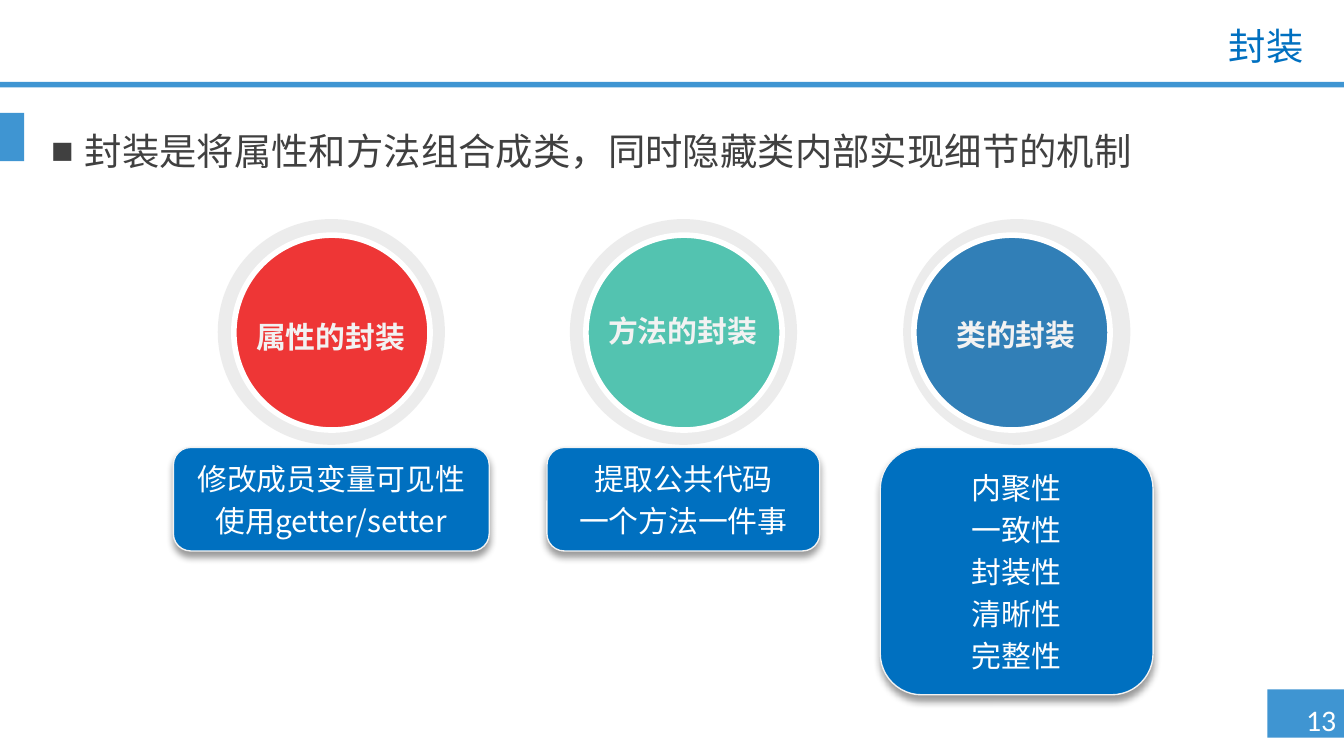
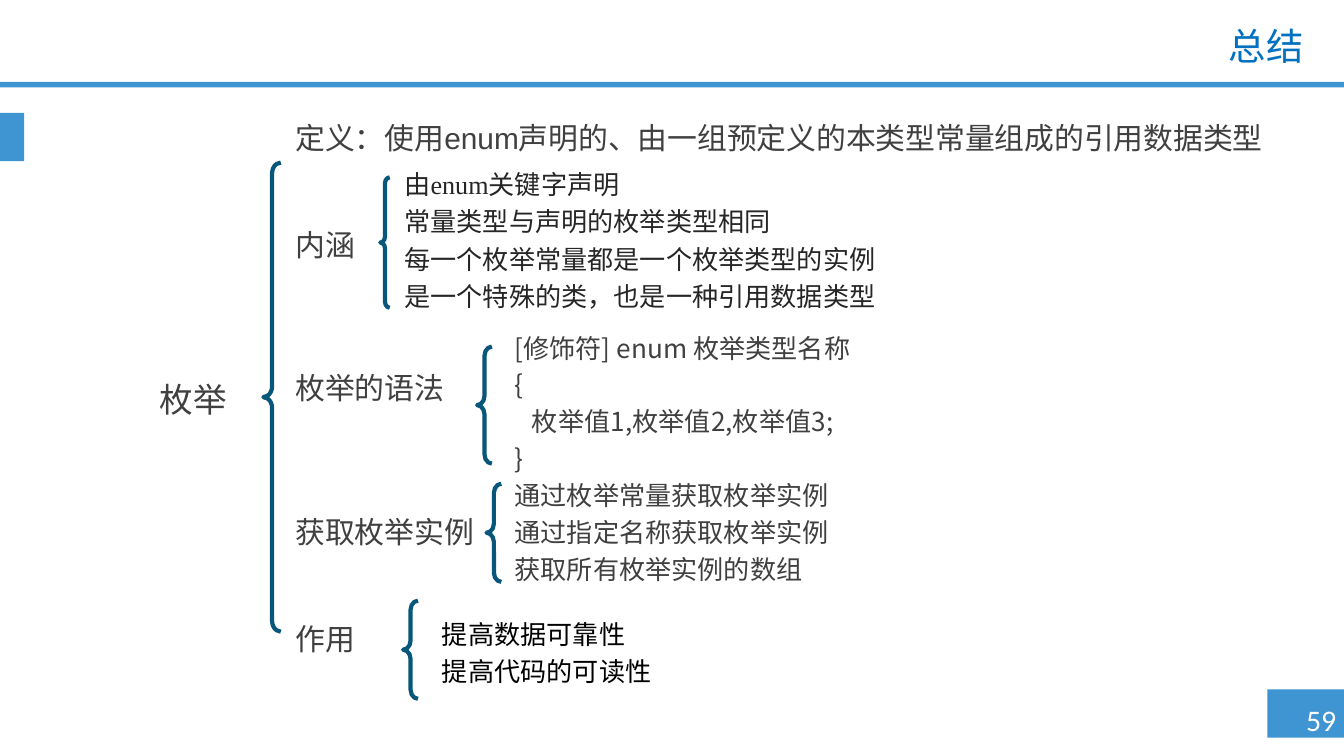
from lxml import etree
from pptx import Presentation
from pptx.dml.color import RGBColor
from pptx.enum.shapes import MSO_SHAPE
from pptx.enum.text import MSO_ANCHOR, MSO_AUTO_SIZE, PP_ALIGN
from pptx.oxml.ns import qn
from pptx.util import Inches, Pt

LEFT, CENTER, RIGHT = PP_ALIGN.LEFT, PP_ALIGN.CENTER, PP_ALIGN.RIGHT
TOP, MIDDLE = MSO_ANCHOR.TOP, MSO_ANCHOR.MIDDLE
RECTANGLE, OVAL = MSO_SHAPE.RECTANGLE, MSO_SHAPE.OVAL
ROUNDED, BRACE = MSO_SHAPE.ROUNDED_RECTANGLE, MSO_SHAPE.LEFT_BRACE

WIDTH = 10
HEIGHT = WIDTH * 9 / 16
TITLE_LAYOUT, BODY_LAYOUT = 5, 1
SANS, ARIAL, SERIF, NUMBER_FONT = "Noto Sans CJK SC", "Arial", "Times New Roman", "Calibri"
COLORS = {
    "band": "3F95D2", "title": "0070C0", "text": "404040", "dark": "262626",
    "black": "000000", "white": "FFFFFF", "pale": "F2F2F2", "ring": "D8D8D8",
    "red": "EE3636", "green": "53C3B0", "blue": "317FB7", "brace": "08577A",
}
BANDS = [(9.43, 5.13, 0.57, 0.36), (0, 0.61, WIDTH, 0.04), (0, 0.84, 0.18, 0.36)]

# Slide 13: definition and three kinds of encapsulation
DEFINITION = "封装是将属性和方法组合成类，同时隐藏类内部实现细节的机制"
KINDS = [
    {"name": "属性的封装", "color": "red", "left": 1.62, "disc_shift": 0.12,
     "name_top": 2.32, "card": (2.35, 0.77),
     "points": ["修改成员变量可见性", "使用getter/setter"]},
    {"name": "方法的封装", "color": "green", "left": 4.24, "disc_shift": 0.12,
     "name_top": 2.28, "card": (2.03, 0.77),
     "points": ["提取公共代码", "一个方法一件事"]},
    {"name": "类的封装", "color": "blue", "left": 6.72, "disc_shift": 0.08,
     "name_top": 2.31, "card": (2.03, 1.84),
     "points": ["内聚性", "一致性", "封装性", "清晰性", "完整性"]},
]
RING_TOP, RING_WIDTH, RING_HEIGHT = 1.63, 1.69, 1.68
DISC_TOP, DISC_WIDTH, DISC_HEIGHT = 1.75, 1.46, 1.45
CARD_TOP = 3.33

# Slide 59: tree of topics; each topic sits on a row of one column
TOPIC_LEFT, TOPIC_TOP, TOPIC_WIDTH = 2.1, 0.84, 7.66
TOPIC_PITCH = 3.73 / 14
TOPICS = [
    (0, "定义：使用enum声明的、由一组预定义的本类型常量组成的引用数据类型"),
    (3, "内涵"), (7, "枚举的语法"), (11, "获取枚举实例"), (14, "作用"),
]
BRACES = [
    (1.96, 1.21, 0.13, 3.49), (2.83, 1.32, 0.07, 0.97), (3.55, 2.58, 0.11, 0.87),
    (3.62, 3.6, 0.11, 0.73), (3, 4.47, 0.11, 0.73),
]
LIST_STYLE = {"size": 14, "spacing": 1.41, "inset": 0.01}
DETAILS = [
    ((2.91, 1.16, 4.18, 1.21),
     ["由enum关键字声明", "常量类型与声明的枚举类型相同",
      "每一个枚举常量都是一个枚举类型的实例", "是一个特殊的类，也是一种引用数据类型"],
     {"size": 14, "spacing": 1.43, "font": SERIF, "color": "dark", "inset": 0.05}),
    ((3.73, 2.42, 2.92, 1.18),
     ["[修饰符] enum 枚举类型名称", "{", "枚举值1,枚举值2,枚举值3;", "}"],
     {**LIST_STYLE, "indents": {2: 0.13}}),
    ((3.73, 3.52, 2.92, 0.9),
     ["通过枚举常量获取枚举实例", "通过指定名称获取枚举实例", "获取所有枚举实例的数组"],
     LIST_STYLE),
    ((3.19, 4.54, 2.92, 0.62), ["提高数据可靠性", "提高代码的可读性"],
     {**LIST_STYLE, "color": "black", "inset": 0.02}),
]


def rgb(name):
    return RGBColor.from_string(COLORS[name])


def place(shape, box):
    for side, value in zip(("left", "top", "width", "height"), box):
        setattr(shape, side, Inches(value))


def write(shape, lines, size=16, font=SANS, color="text", align=LEFT, bold=False,
          spacing=1.28, anchor=TOP, inset=0.03, wrap=True, indents=None):
    """Fill a text frame; spacing is the line pitch as a multiple of the text size."""
    frame = shape.text_frame
    frame.text = "\n".join(lines)
    frame_format = {"word_wrap": wrap, "vertical_anchor": anchor,
                    "auto_size": MSO_AUTO_SIZE.NONE, "margin_top": Inches(inset),
                    "margin_bottom": Inches(0.05), "margin_left": Inches(0.1),
                    "margin_right": Inches(0.1)}
    for name, value in frame_format.items():
        setattr(frame, name, value)
    for index, paragraph in enumerate(frame.paragraphs):
        paragraph.alignment = align
        paragraph.line_spacing = Pt(round(size * spacing, 1))
        paragraph.space_before = Pt(0)
        if indents and index in indents:
            paragraph._p.get_or_add_pPr().set("marL", str(Inches(indents[index])))
        for run in paragraph.runs:
            for name, value in {"size": Pt(size), "name": font, "bold": bold}.items():
                setattr(run.font, name, value)
            run.font.color.rgb = rgb(color)
            east_asian = etree.SubElement(run.font._element, qn("a:ea"))
            east_asian.set("typeface", SANS)


def add_text(shapes, box, lines, **style):
    write(shapes.add_textbox(*map(Inches, box)), lines, **style)


def add_figure(shapes, kind, box, fill=None, line=None, line_width=1):
    shape = shapes.add_shape(kind, *map(Inches, box))
    shape.shadow.inherit = False
    if fill:
        shape.fill.solid()
        shape.fill.fore_color.rgb = rgb(fill)
    else:
        shape.fill.background()
    if line:
        shape.line.color.rgb = rgb(line)
        shape.line.width = Pt(line_width)
    else:
        shape.line.fill.background()
    return shape


def add_alpha(color_element, percent):
    etree.SubElement(color_element, qn("a:alpha")).set("val", str(percent * 1000))


def add_card_shadow(shape):
    effects = shape._element.spPr.find(qn("a:effectLst"))
    shadow = etree.SubElement(effects, qn("a:outerShdw"), blurRad=str(Pt(4)),
                              dist=str(Pt(3)), dir="5400000", rotWithShape="0")
    color = etree.SubElement(shadow, qn("a:srgbClr"), val=COLORS["black"])
    add_alpha(color, 40)


def set_bullet(paragraph, character, indent):
    properties = paragraph._p.get_or_add_pPr()
    properties.set("marL", str(Inches(indent)))
    properties.set("indent", str(-Inches(indent)))
    etree.SubElement(properties, qn("a:buFont"), typeface=ARIAL)
    etree.SubElement(properties, qn("a:buChar"), char=character)


def add_base_slide(presentation, layout, title, number):
    """Add a slide with the shared bands, page number and title."""
    slide = presentation.slides.add_slide(presentation.slide_layouts[layout])
    for box in BANDS:
        add_figure(slide.shapes, RECTANGLE, box, "band")
    add_text(slide.shapes, (9.57, 5.17, 0.52, 0.37), [number], font=NUMBER_FONT,
             color="white", align=CENTER, wrap=False)
    place(slide.shapes.title, (2.4, 0.15, 7.4, 0.41))
    write(slide.shapes.title, [title], size=20, font=ARIAL, color="title",
          align=RIGHT, spacing=1.17)
    return slide


def add_kind(slide, kind):
    """Add a ringed disc with its name, and the card of points below it."""
    left = kind["left"]
    shapes = slide.shapes.add_group_shape().shapes
    ring = add_figure(shapes, OVAL, (left, RING_TOP, RING_WIDTH, RING_HEIGHT), "ring")
    add_alpha(ring._element.spPr.find(qn("a:solidFill"))[0], 47)
    disc_box = (left + kind["disc_shift"], DISC_TOP, DISC_WIDTH, DISC_HEIGHT)
    add_figure(shapes, OVAL, disc_box, kind["color"], "white", 3)
    add_text(shapes, (left - 0.09, kind["name_top"], 1.86, 0.36), [kind["name"]],
             color="pale", align=CENTER, bold=True)

    width, height = kind["card"]
    card_left = left + (RING_WIDTH - width) / 2
    card = add_figure(slide.shapes, ROUNDED, (card_left, CARD_TOP, width, height),
                      "title", "pale", 0.75)
    card.adjustments[0] = 0.167
    add_card_shadow(card)
    write(card, kind["points"], color="white", align=CENTER, spacing=1.4,
          anchor=MIDDLE, inset=0.01)


def build_encapsulation(presentation):
    slide = add_base_slide(presentation, BODY_LAYOUT, "封装", "13")
    body = slide.placeholders[1]
    place(body, (0.28, 0.84, 8.94, 2.37))
    write(body, [DEFINITION], size=20, spacing=1.5)
    set_bullet(body.text_frame.paragraphs[0], "■", 0.25)
    for kind in KINDS:
        add_kind(slide, kind)


def build_summary(presentation):
    slide = add_base_slide(presentation, TITLE_LAYOUT, "总结", "59")
    for row, topic in TOPICS:
        top = TOPIC_TOP + row * TOPIC_PITCH
        add_text(slide.shapes, (TOPIC_LEFT, top, TOPIC_WIDTH, 0.36), [topic], font=ARIAL)
    add_text(slide.shapes, (0.99, 2.77, 0.9, 0.4), ["枚举"], size=18, font=ARIAL,
             align=CENTER)
    for box in BRACES:
        brace = add_figure(slide.shapes, BRACE, box, line="brace", line_width=2.25)
        brace.adjustments[0] = 0.62
    for box, lines, style in DETAILS:
        add_text(slide.shapes, box, lines, **style)


def main():
    presentation = Presentation()
    presentation.slide_width = Inches(WIDTH)
    presentation.slide_height = Inches(HEIGHT)
    build_encapsulation(presentation)
    build_summary(presentation)
    presentation.save("out.pptx")


if __name__ == "__main__":
    main()
